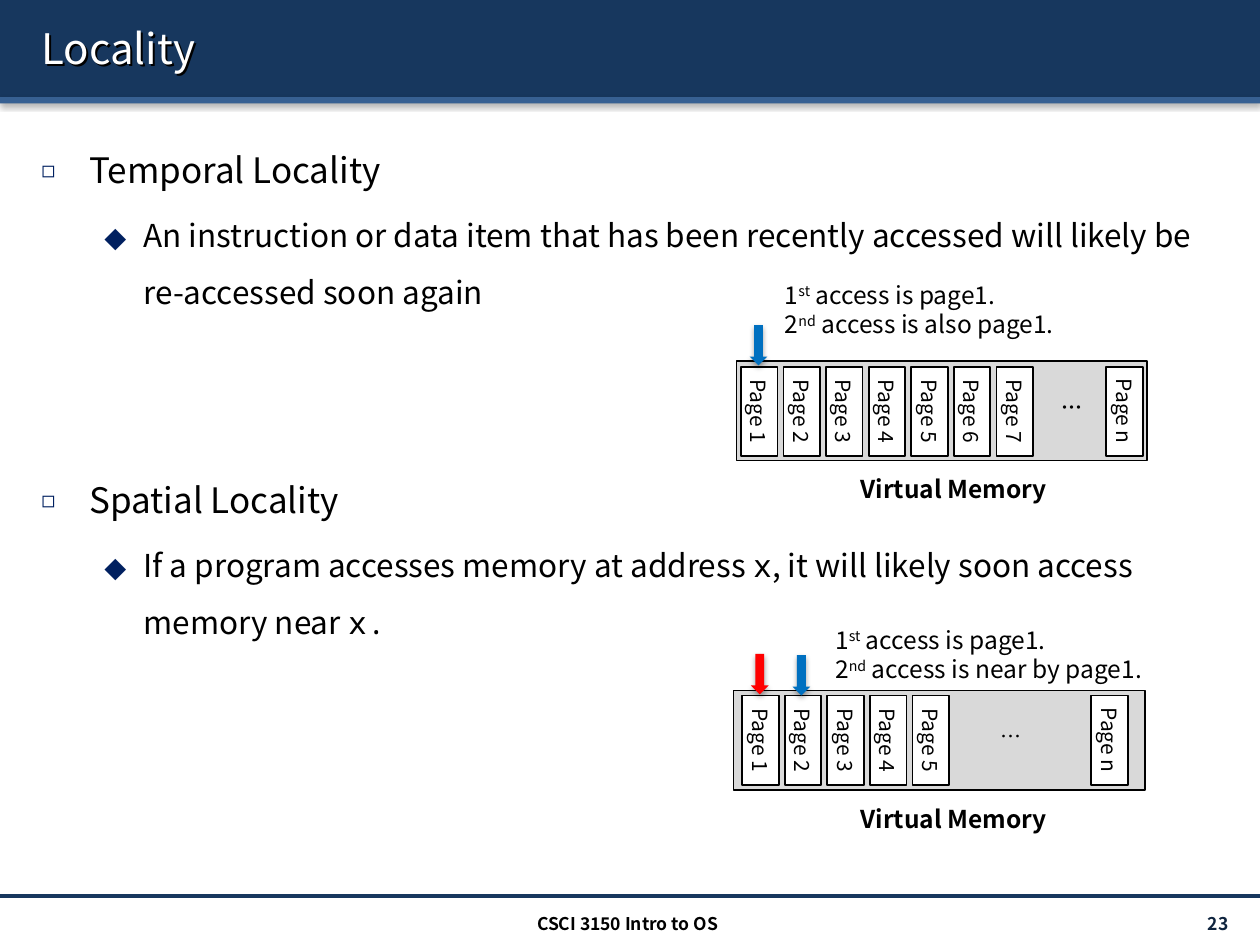
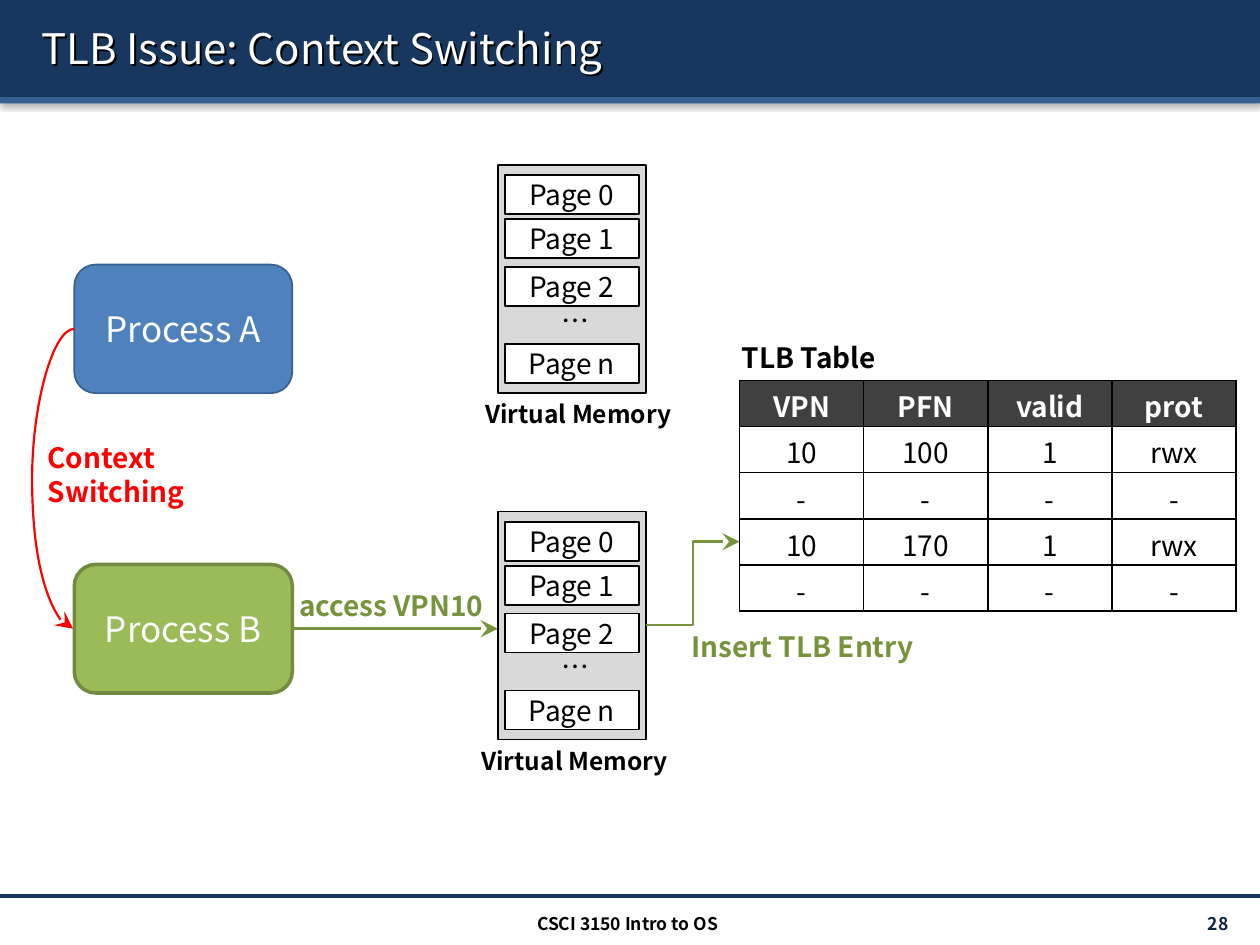
"""Build two operating-systems lecture slides on locality and TLB context switching."""
from dataclasses import dataclass
from typing import Optional

from lxml.etree import SubElement
from pptx import Presentation
from pptx.dml.color import RGBColor
from pptx.enum.shapes import MSO_CONNECTOR as Connector, MSO_SHAPE as Preset
from pptx.enum.text import MSO_ANCHOR as Anchor, MSO_AUTO_SIZE as AutoSize, PP_ALIGN as Align
from pptx.oxml.ns import qn
from pptx.util import Inches, Pt

SANS = "Noto Sans CJK KR"
MONO = "Noto Sans Mono"
COLORS = {
    "band": "17375E", "stripe": "376092", "number": "0F243E", "bullet": "002060",
    "black": "000000", "white": "FFFFFF", "memory": "D9D9D9", "header": "404040",
    "red": "FF0000", "blue": "0070C0", "insert": "77933C",
    "process_a": "4F81BD", "process_b": "9BBB59", "process_b_line": "738A42",
}


@dataclass(frozen=True)
class Box:
    left: float
    top: float
    width: float
    height: float

    def lengths(self) -> tuple:
        return tuple(Inches(value) for value in (self.left, self.top, self.width, self.height))


@dataclass(frozen=True)
class Style:
    size: float = 16
    color: str = "black"
    bold: bool = False
    align: Align = Align.LEFT


@dataclass(frozen=True)
class Piece:
    text: str
    font: str = SANS
    raised: bool = False


@dataclass(frozen=True)
class Bullet:
    symbol: str
    size: int
    percent: int
    margin: float
    indent: float


@dataclass(frozen=True)
class PageStrip:
    frame: Box
    first_left: float
    page_top: float
    numbered: int
    last_left: float
    ellipsis: Box
    ellipsis_style: Style
    arrows: tuple
    note: Box
    second_access: str
    caption_top: float


@dataclass(frozen=True)
class Wire:
    kind: Connector
    start: tuple
    end: tuple
    color: str
    width: float


CAPTION = Style(14, bold=True)
CENTERED_CAPTION = Style(14, bold=True, align=Align.CENTER)
TOPIC = Bullet("◻", 20, 65, 0.38, -0.38)
DETAIL = Bullet("⬥", 18, 100, 0.81, -0.31)
PAGE_PITCH = 0.338
LOCALITY_TOPICS = (
    (0.96, "Temporal Locality", (
        Piece("An instruction or data item that has been recently accessed "
              "will likely be re-accessed soon again"),)),
    (3.58, "Spatial Locality", (
        Piece("If a program accesses memory at address "), Piece("x", MONO),
        Piece(", it will likely soon access memory near "), Piece("x.", MONO))),
)
PAGE_STRIPS = (
    PageStrip(Box(7.08, 1.63, 0.79, 3.26), 5.67, 3.12, 7, 8.57,
              Box(8.15, 3.08, 0.71, 0.3), Style(12, bold=True, align=Align.CENTER),
              ((5.95, 2.58, "blue"),), Box(6.13, 2.17, 2.38, 0.57),
              " access is also page1.", 3.71),
    PageStrip(Box(7.06, 4.24, 0.79, 3.27), 5.68, 5.73, 5, 8.45,
              Box(7.84, 5.69, 0.71, 0.3), Style(12),
              ((5.96, 5.19, "red"), (6.29, 5.2, "blue")), Box(6.53, 4.91, 2.7, 0.57),
              " access is near by page1.", 6.33),
)
TLB_ROWS = (
    ("VPN", "PFN", "valid", "prot"),
    ("10", "100", "1", "rwx"),
    ("-",) * 4,
    ("10", "170", "1", "rwx"),
    ("-",) * 4,
)


def rgb(name: str) -> RGBColor:
    return RGBColor.from_string(COLORS[name])


def add_color(parent, name: str):
    return SubElement(parent, qn("a:srgbClr"), val=COLORS[name])


def add_shadow(shape, blur: int, distance: int, direction: int, opacity: int) -> None:
    shape.shadow.inherit = False
    effects = shape.element.spPr.find(qn("a:effectLst"))
    shadow = SubElement(effects, qn("a:outerShdw"), blurRad=str(blur), dist=str(distance),
                        dir=str(direction), algn="tl", rotWithShape="0")
    SubElement(add_color(shadow, "black"), qn("a:alpha"), val=str(opacity * 1000))


def add_run(paragraph, piece: Piece, style: Style) -> None:
    run = paragraph.add_run()
    run.text = piece.text
    run.font.size = Pt(style.size)
    run.font.bold = style.bold
    run.font.color.rgb = rgb(style.color)
    run.font.name = piece.font
    properties = run._r.get_or_add_rPr()
    SubElement(properties, qn("a:ea"), typeface=piece.font)
    if piece.raised:
        properties.set("baseline", "30000")


def write(frame, lines: tuple, style: Style) -> None:
    for index, line in enumerate(lines):
        paragraph = frame.add_paragraph() if index else frame.paragraphs[0]
        paragraph.alignment = style.align
        for piece in (Piece(line),) if isinstance(line, str) else line:
            add_run(paragraph, piece, style)


def add_text(slide, box: Box, lines: tuple, style: Style, wrap: bool = True,
             anchor: Anchor = Anchor.TOP) -> None:
    frame = slide.shapes.add_textbox(*box.lengths()).text_frame
    frame.word_wrap = wrap
    frame.auto_size = AutoSize.NONE if wrap else AutoSize.SHAPE_TO_FIT_TEXT
    frame.vertical_anchor = anchor
    write(frame, lines, style)


def add_block(slide, box: Box, fill: str, line: Optional[str] = None, width: float = 1,
              preset: Preset = Preset.RECTANGLE, rotation: float = 0, shadow: bool = False):
    shape = slide.shapes.add_shape(preset, *box.lengths())
    shape.rotation = rotation
    shape.fill.solid()
    shape.fill.fore_color.rgb = rgb(fill)
    if line:
        shape.line.color.rgb = rgb(line)
        shape.line.width = Pt(width)
    else:
        shape.line.fill.background()
    shape.shadow.inherit = False
    if shadow:
        add_shadow(shape, 40000, 20000, 5400000, 38)
    return shape


def label_block(shape, text: str, style: Style, side_inset: float = 0) -> None:
    frame = shape.text_frame
    frame.margin_left = frame.margin_right = Inches(side_inset)
    frame.vertical_anchor = Anchor.MIDDLE
    frame.word_wrap = True
    write(frame, (text,), style)


def add_page(slide, box: Box, name: str, size: float, rotation: float = 0) -> None:
    page = add_block(slide, box, "white", "black", rotation=rotation)
    label_block(page, f"Page {name}", Style(size, align=Align.CENTER))


def add_wire(slide, wire: Wire, arrow: bool = False):
    points = (Inches(value) for value in wire.start + wire.end)
    connector = slide.shapes.add_connector(wire.kind, *points)
    connector.line.color.rgb = rgb(wire.color)
    connector.line.width = Pt(wire.width)
    if arrow:
        SubElement(connector.line._get_or_add_ln(), qn("a:tailEnd"), type="stealth",
                   w="lg", len="lg")
    SubElement(connector.element.spPr, qn("a:effectLst"))
    return connector


def add_lecture_slide(presentation, title_text: str, number: int):
    slide = presentation.slides.add_slide(presentation.slide_layouts[5])
    add_block(slide, Box(0, 0, 10, 0.77), "band", shadow=True)
    add_block(slide, Box(0, 0.77, 10, 0.05), "stripe", shadow=True)
    add_wire(slide, Wire(Connector.STRAIGHT, (0, 7.11), (10, 7.11), "band", 2))
    title = slide.shapes.title
    title.element.getparent().append(title.element)
    title.left, title.top, title.width, title.height = Box(0.23, 0.06, 9.61, 0.64).lengths()
    frame = title.text_frame
    frame.auto_size = AutoSize.NONE
    frame.vertical_anchor = Anchor.MIDDLE
    write(frame, (title_text,), Style(24, "white"))
    add_shadow(title, 0, 20000, 2700000, 100)
    add_text(slide, Box(8.71, 7.21, 1.17, 0.24), (f"{number} ",),
             Style(10, "number", True, Align.RIGHT), anchor=Anchor.MIDDLE)
    add_text(slide, Box(3.32, 7.2, 3.32, 0.24), ("CSCI 3150 Intro to OS",),
             Style(10, bold=True, align=Align.CENTER))
    return slide


def format_bullet(paragraph, bullet: Bullet) -> None:
    properties = paragraph._p.get_or_add_pPr()
    properties.set("marL", str(Inches(bullet.margin)))
    properties.set("indent", str(Inches(bullet.indent)))
    add_color(SubElement(properties, qn("a:buClr")), "bullet")
    SubElement(properties, qn("a:buSzPct"), val=str(bullet.percent * 1000))
    SubElement(properties, qn("a:buFont"), typeface=SANS)
    SubElement(properties, qn("a:buChar"), char=bullet.symbol)
    paragraph.line_spacing = 1.5


def add_topic(slide, top: float, heading: str, detail: tuple) -> None:
    frame = slide.shapes.add_textbox(*Box(0.23, top, 9.61, 1.7).lengths()).text_frame
    frame.word_wrap = True
    for bullet, pieces in ((TOPIC, (Piece(heading),)), (DETAIL, detail)):
        paragraph = frame.paragraphs[0] if bullet is TOPIC else frame.add_paragraph()
        format_bullet(paragraph, bullet)
        if bullet is DETAIL:
            paragraph.space_before = Pt(4)
        for piece in pieces:
            add_run(paragraph, piece, Style(bullet.size))


def add_page_strip(slide, strip: PageStrip) -> None:
    add_block(slide, strip.frame, "memory", "black", rotation=90)
    pages = [(str(index + 1), strip.first_left + index * PAGE_PITCH)
             for index in range(strip.numbered)]
    for name, left in pages + [("n", strip.last_left)]:
        add_page(slide, Box(left, strip.page_top, 0.71, 0.29), name, 12, 90)
    add_text(slide, strip.ellipsis, ("…",), strip.ellipsis_style)
    for left, top, color in strip.arrows:
        add_block(slide, Box(left, top, 0.14, 0.32), color, preset=Preset.DOWN_ARROW, shadow=True)
    note = ((Piece("1"), Piece("st", raised=True), Piece(" access is page1.")),
            (Piece("2"), Piece("nd", raised=True), Piece(strip.second_access)))
    add_text(slide, strip.note, note, Style(14), wrap=False)
    add_text(slide, Box(6.73, strip.caption_top, 1.69, 0.34), ("Virtual Memory",),
             CAPTION, wrap=False)


def add_memory_column(slide, top: float, caption_left: float) -> None:
    left = 3.95
    add_block(slide, Box(left, top, 1.18, 1.81), "memory", "black")
    for name, offset in (("0", 0.08), ("1", 0.43), ("2", 0.81), ("n", 1.42)):
        add_page(slide, Box(left + 0.06, top + offset, 1.06, 0.31), name, 16)
    add_text(slide, Box(left + 0.41, top + 1.05, 1.16, 0.37), ("…",), Style())
    add_text(slide, Box(caption_left, top + 1.81, 1.92, 0.34), ("Virtual Memory",),
             CENTERED_CAPTION)


def add_process(slide, top: float, name: str, fill: str, line: str, width: float):
    process = add_block(slide, Box(0.59, top, 1.73, 1.02), fill, line, width,
                        Preset.ROUNDED_RECTANGLE)
    label_block(process, name, Style(20, "white", align=Align.CENTER), 0.1)
    return process


def add_tlb_table(slide) -> None:
    box = Box(5.87, 3.02, 3.94, 1.83)
    table = slide.shapes.add_table(len(TLB_ROWS), len(TLB_ROWS[0]), *box.lengths()).table
    table.first_row = table.horz_banding = False
    for row, values in enumerate(TLB_ROWS):
        style = Style(color="black" if row else "white", bold=not row, align=Align.CENTER)
        for column, value in enumerate(values):
            cell = table.cell(row, column)
            cell.margin_top, cell.margin_bottom = Inches(0.04), Inches(0)
            properties = cell._tc.get_or_add_tcPr()
            for side in ("lnL", "lnR", "lnT", "lnB"):
                border = SubElement(properties, qn(f"a:{side}"), w=str(Pt(1)))
                add_color(SubElement(border, qn("a:solidFill")), "black")
            if row:
                cell.fill.background()
            else:
                cell.fill.solid()
                cell.fill.fore_color.rgb = rgb("header")
            write(cell.text_frame, (value,), style)


def build_locality(presentation) -> None:
    slide = add_lecture_slide(presentation, "Locality", 23)
    for topic in LOCALITY_TOPICS:
        add_topic(slide, *topic)
    for strip in PAGE_STRIPS:
        add_page_strip(slide, strip)


def build_context_switching(presentation) -> None:
    slide = add_lecture_slide(presentation, "TLB Issue: Context Switching", 28)
    add_process(slide, 2.1, "Process A", "process_a", "stripe", 1)
    process_b = add_process(slide, 4.48, "Process B", "process_b", "process_b_line", 2)
    add_text(slide, Box(5.79, 2.65, 1.54, 0.37), ("TLB Table",), Style(bold=True))
    add_memory_column(slide, 1.31, 3.63)
    add_memory_column(slide, 4.06, 3.6)
    add_tlb_table(slide)
    access = Wire(Connector.STRAIGHT, (2.32, 4.99), (3.95, 4.99), "insert", 1.5)
    add_wire(slide, access, arrow=True).begin_connect(process_b, 3)
    add_wire(slide, Wire(Connector.ELBOW, (5.13, 4.96), (5.87, 4.3), "insert", 1.5), arrow=True)
    switch = add_wire(slide, Wire(Connector.CURVE, (0.59, 2.61), (0.58, 4.99), "red", 1.25),
                      arrow=True)
    adjustments = switch.element.spPr.find(qn("a:prstGeom")).get_or_add_avLst()
    SubElement(adjustments, qn("a:gd"), name="adj1", fmla="val 3400000")
    add_text(slide, Box(0.28, 3.45, 1.48, 0.64), ("Context", "Switching"),
             Style(color="red", bold=True))
    add_text(slide, Box(2.01, 4.62, 2.19, 0.37), ("access VPN10",),
             Style(color="insert", bold=True, align=Align.CENTER))
    add_text(slide, Box(5.39, 4.95, 2.19, 0.37), ("Insert TLB Entry",),
             Style(color="insert", bold=True))


def main() -> None:
    presentation = Presentation()
    presentation.slide_width, presentation.slide_height = Inches(10), Inches(7.5)
    build_locality(presentation)
    build_context_switching(presentation)
    presentation.save("out.pptx")


if __name__ == "__main__":
    main()
